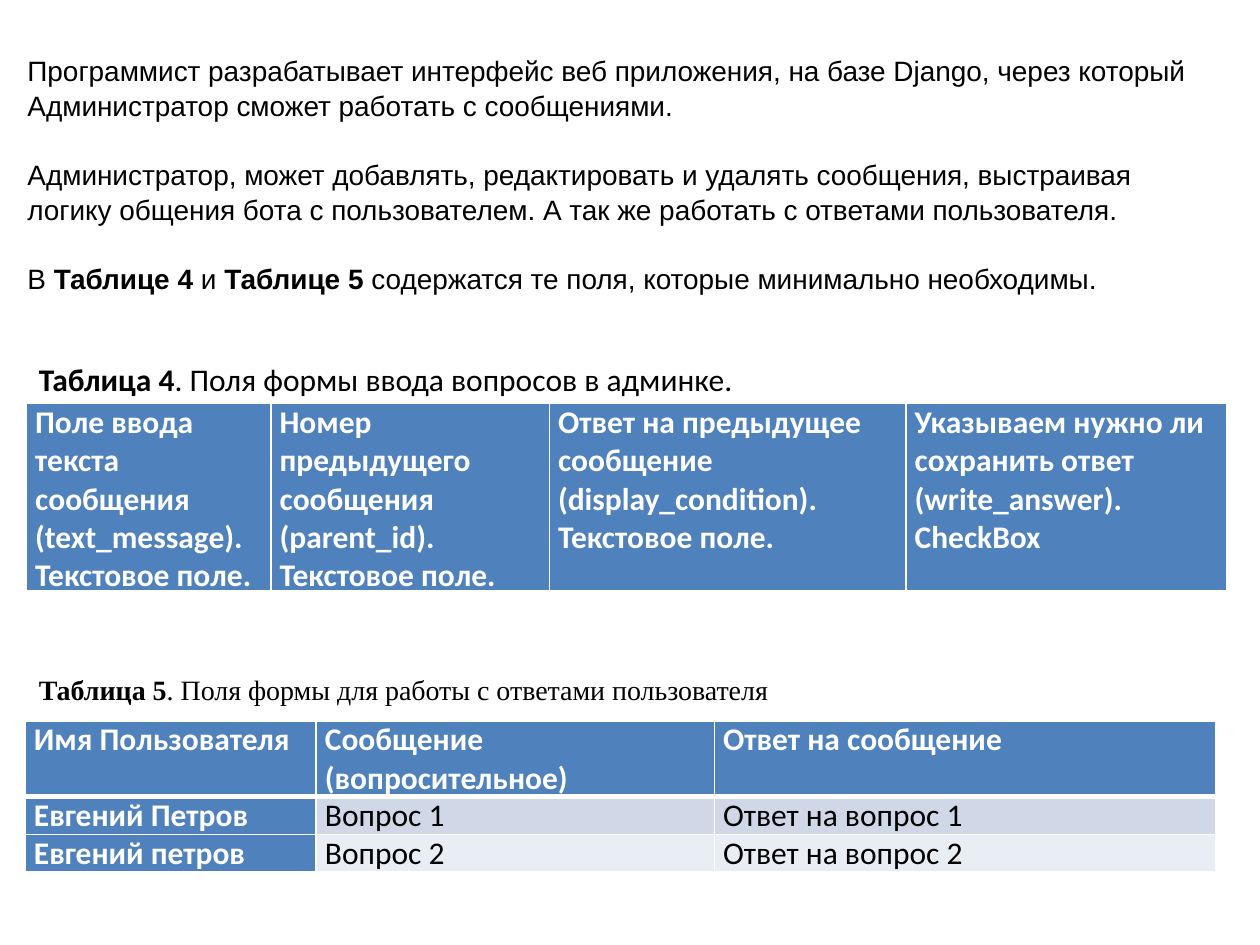
import dataclasses
import pptx
import pptx.dml.color
import pptx.enum.text
import pptx.oxml
import pptx.oxml.ns
import pptx.util

Pt = pptx.util.Pt
RGB = pptx.dml.color.RGBColor.from_string


@dataclasses.dataclass(frozen=True)
class Theme:
    ink: str = "000000"
    white: str = "FFFFFF"
    header: str = "4F81BD"
    bands: tuple = ("D0D8E8", "E9EDF4")
    body_font: str = "Arial"
    table_font: str = "Calibri"
    serif_font: str = "Times New Roman"
    body_size: int = 16
    table_size: int = 18
    rule: int = 1
    header_rule: int = 3


THEME = Theme()


def set_font(font, name, size, color, bold=False):
    font.name = name
    font.size = Pt(size)
    font.bold = bold
    font.color.rgb = RGB(color)


def add_text(s, box, paragraphs, name, size, spacing=None, gap=0):
    tf = s.shapes.add_textbox(*map(Pt, box)).text_frame
    tf.word_wrap = True
    for i, runs in enumerate(paragraphs):
        p = tf.paragraphs[0] if i == 0 else tf.add_paragraph()
        set_font(p.font, name, size, THEME.ink)
        p.line_spacing = spacing
        p.space_before = Pt(gap if i else 0)
        for text, bold in runs:
            r = p.add_run()
            r.text = text
            set_font(r.font, name, size, THEME.ink, bold)
    return tf


def add_border(cell, side, width):
    ns = pptx.oxml.ns.nsdecls("a")
    line = pptx.oxml.parse_xml(
        f'<a:{side} {ns} w="{Pt(width)}"><a:solidFill>'
        f'<a:srgbClr val="{THEME.white}"/></a:solidFill></a:{side}>')
    cell._tc.get_or_add_tcPr().append(line)


def fill_cell(cell, text, is_header, band, top, bottom):
    for side, width in (("lnL", THEME.rule), ("lnR", THEME.rule),
                        ("lnT", top), ("lnB", bottom)):
        add_border(cell, side, width)
    cell.fill.solid()
    cell.fill.fore_color.rgb = RGB(THEME.header if is_header else band)
    cell.margin_left = cell.margin_right = Pt(5)
    cell.margin_top = cell.margin_bottom = 0
    cell.text = text
    for p in cell.text_frame.paragraphs:
        set_font(p.font, THEME.table_font, THEME.table_size,
                 THEME.white if is_header else THEME.ink, is_header)


def add_grid(s, left, top, widths, heights, rows):
    tbl = s.shapes.add_table(len(rows), len(widths), Pt(left), Pt(top),
                             Pt(sum(widths)), Pt(sum(heights))).table
    for col, width in zip(tbl.columns, widths):
        col.width = Pt(width)
    for i, (row, height) in enumerate(zip(rows, heights)):
        tbl.rows[i].height = Pt(height)
        upper = THEME.header_rule if i == 1 else THEME.rule
        lower = THEME.header_rule if i == 0 else THEME.rule
        for j, text in enumerate(row):
            fill_cell(tbl.cell(i, j), text, i == 0 or j == 0,
                      THEME.bands[(i - 1) % 2], upper, lower)


def add_intro(s, box):
    paragraphs = [
        [("Программист разрабатывает интерфейс веб приложения, на базе Django, "
          "через который Администратор сможет работать с сообщениями.", False)],
        [("Администратор, может добавлять, редактировать и удалять сообщения, "
          "выстраивая логику общения бота с пользователем. "
          "А так же работать с ответами пользователя.", False)],
        [("В ", False), ("Таблице 4 ", True), ("и ", False), ("Таблице 5 ", True),
         ("содержатся те поля, которые минимально необходимы.", False)],
    ]
    add_text(s, box, paragraphs, THEME.body_font, THEME.body_size, 1.05, 19.2)


def add_question_fields(s, left, top):
    caption = [("Таблица 4", True), (". Поля формы ввода вопросов в админке.", False)]
    add_text(s, (left, top, 515, 29), [caption], THEME.table_font, THEME.table_size)
    add_grid(s, left, top + 28.1, [139.7, 159.1, 203.8, 183.6], [108], [[
        "Поле ввода текста сообщения (text_message).\nТекстовое поле.",
        "Номер предыдущего сообщения (parent_id).\vТекстовое поле.",
        "Ответ на предыдущее сообщение (display_condition).\nТекстовое поле.",
        "Указываем нужно ли сохранить ответ (write_answer).\nCheckBox",
    ]])


def add_answer_fields(s, left, top):
    caption = [("Таблица 5", True),
               (". Поля формы для работы с ответами пользователя", False)]
    tf = add_text(s, (left, top, 595, 26.6), [caption],
                  THEME.serif_font, THEME.body_size)
    tf.vertical_anchor = pptx.enum.text.MSO_ANCHOR.MIDDLE
    people = ["Евгений Петров", "Евгений петров"]
    rows = [["Имя Пользователя", "Сообщение (вопросительное)", "Ответ на сообщение"]]
    rows += [[name, f"Вопрос {n}", f"Ответ на вопрос {n}"]
             for n, name in enumerate(people, 1)]
    add_grid(s, left - 0.7, top + 31, [166.3, 227.5, 286.6], [43, 21.6, 21.6], rows)


prs = pptx.Presentation()
prs.slide_width, prs.slide_height = Pt(720), Pt(540)
s = prs.slides.add_slide(prs.slide_layouts[6])
add_intro(s, (8.6, 25.9, 686, 143.3))
add_question_fields(s, 15.1, 202.3)
add_answer_fields(s, 15.1, 380.9)
prs.save("out.pptx")
